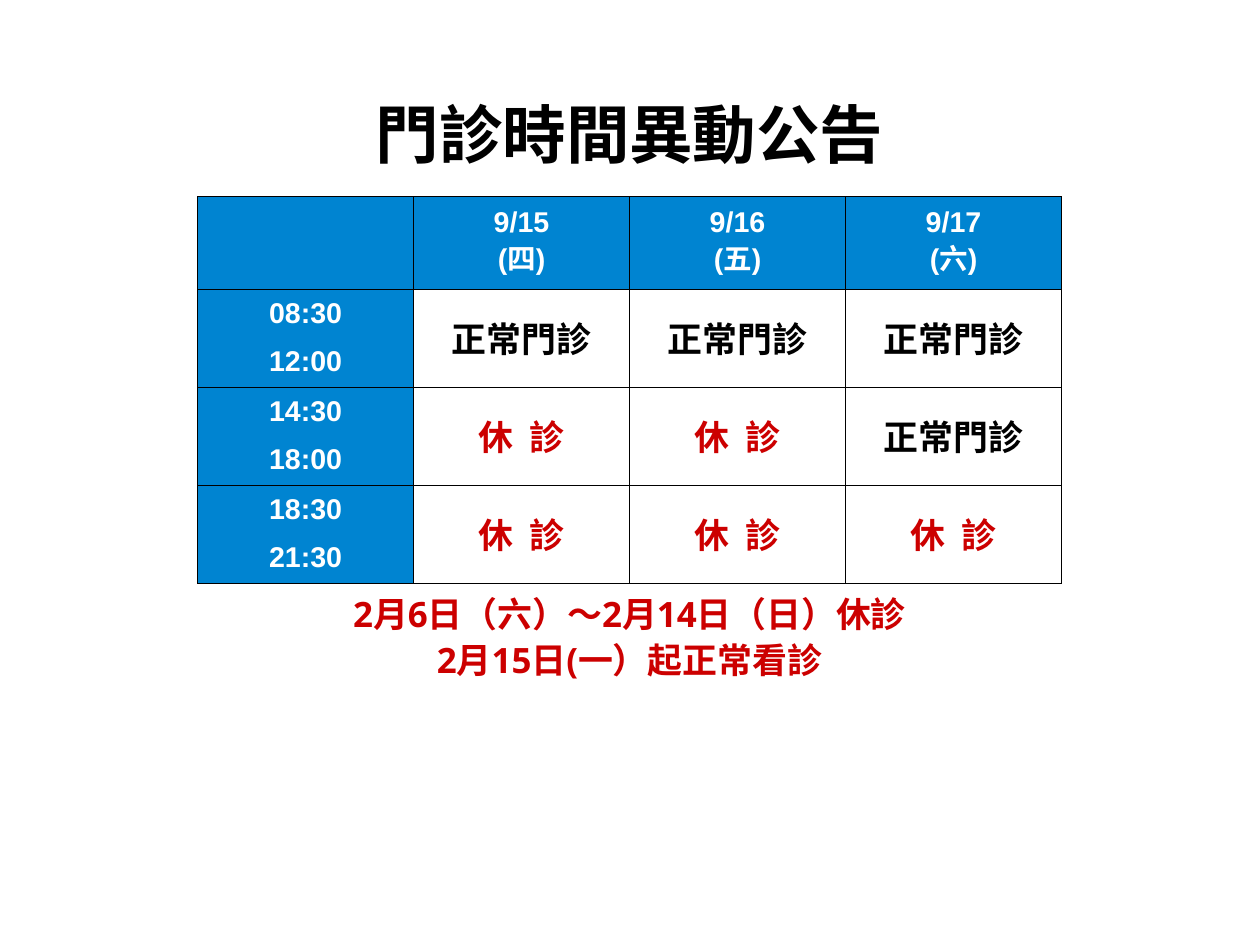
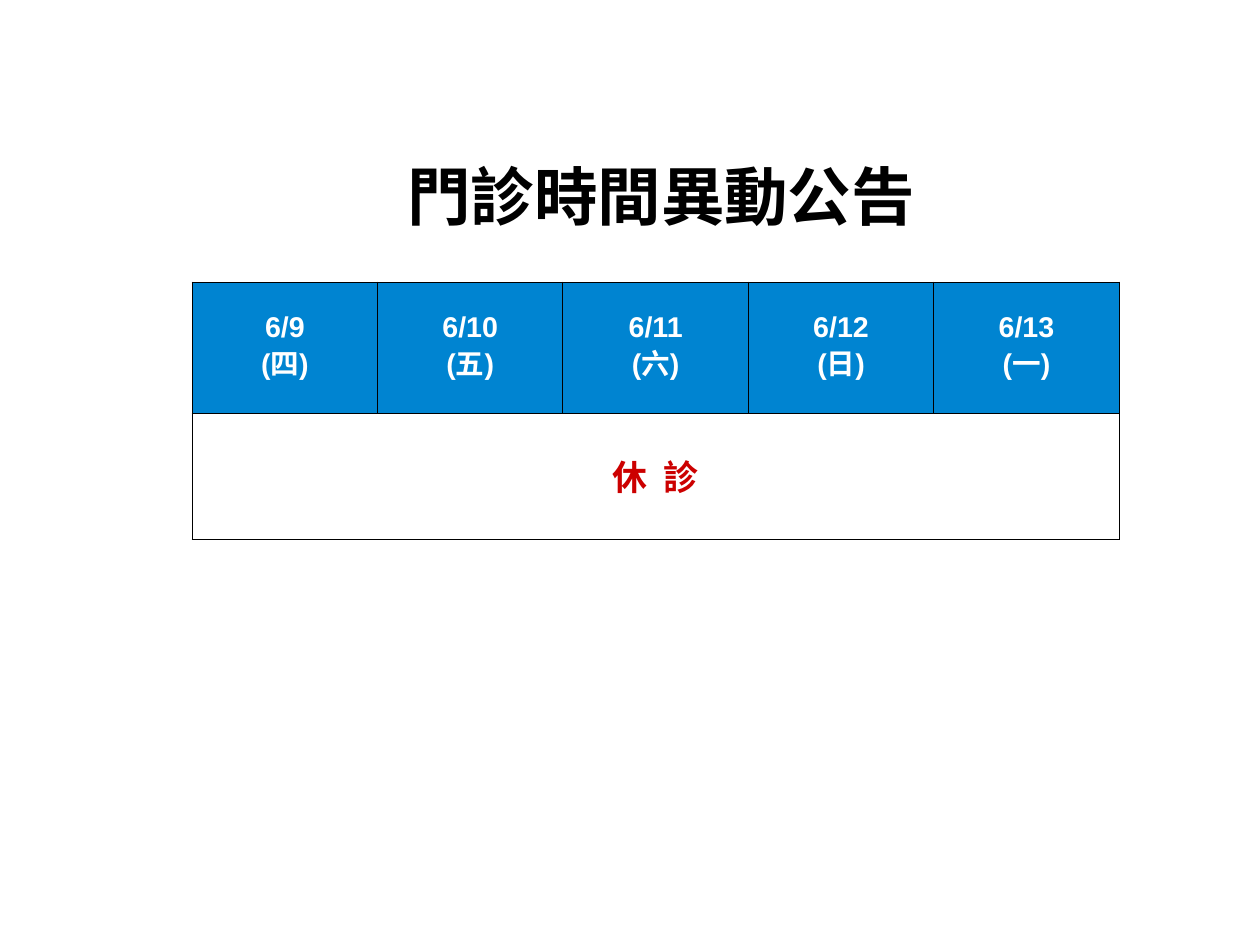
import pptx
import pptx.util
import pptx.dml.color
import pptx.enum.text
import pptx.oxml
import pptx.oxml.ns

Cm = pptx.util.Cm
Pt = pptx.util.Pt
CENTER = pptx.enum.text.PP_ALIGN.CENTER
MIDDLE = pptx.enum.text.MSO_ANCHOR.MIDDLE

COLORS = {"blue": "0084D1", "red": "CC0000", "black": "000000", "white": "FFFFFF"}
TITLE = "門診時間異動公告"
OPEN = "正常門診"
CLOSED = "休 診"
TITLE_HEIGHT = 2.51

STYLES = {
    "title": {"font": {"name": "Calibri", "size": Pt(40), "bold": True},
              "color": "black", "para": {"line_spacing": 0.93}},
    "header": {"font": {"name": "Arial", "size": Pt(18), "bold": True},
               "color": "white", "para": {"line_spacing": 0.94}},
    "hours": {"font": {"name": "Arial", "size": Pt(18), "bold": True}, "color": "white",
              "para": {"line_spacing": 0.94, "space_before": Pt(5.7), "space_after": Pt(5.7)}},
    "open": {"font": {"name": "Calibri", "size": Pt(22), "bold": True},
             "color": "black", "para": {"line_spacing": 0.93}},
    "closed": {"font": {"name": "Calibri", "size": Pt(22), "bold": True},
               "color": "red", "para": {"line_spacing": 0.93}, "tracking": 250},
    "notice": {"font": {"name": "Open Sans", "size": Pt(22), "bold": True},
               "color": "red", "para": {"line_spacing": 1.1}},
}


def set_attributes(target, values):
    for name, value in values.items():
        setattr(target, name, value)


def rgb(color):
    return pptx.dml.color.RGBColor.from_string(COLORS[color])


def write(frame, text, style_name):
    style = STYLES[style_name]
    for index, line in enumerate(text.split("\n")):
        para = frame.add_paragraph() if index else frame.paragraphs[0]
        set_attributes(para, {"alignment": CENTER, **style["para"]})
        span = para.add_run()
        span.text = line
        set_attributes(span.font, style["font"])
        span.font.color.rgb = rgb(style["color"])
        if "tracking" in style:
            span.font._element.set("spc", str(style["tracking"]))


def format_frame(frame, margin_top=0):
    set_attributes(frame, {
        "word_wrap": True, "auto_size": pptx.enum.text.MSO_AUTO_SIZE.NONE,
        "vertical_anchor": MIDDLE, "margin_left": 0, "margin_right": 0,
        "margin_top": margin_top, "margin_bottom": 0})


def add_page(deck, left, top, width):
    page = deck.slides.add_slide(deck.slide_layouts[5])
    title = page.shapes.title
    set_attributes(title, {"left": Cm(left), "top": Cm(top),
                           "width": Cm(width), "height": Cm(TITLE_HEIGHT)})
    format_frame(title.text_frame, Cm(0.1))
    write(title.text_frame, TITLE, "title")
    return page


def add_borders(cell):
    properties = cell._tc.get_or_add_tcPr()
    for side in ("lnL", "lnR", "lnT", "lnB"):
        properties.append(pptx.oxml.parse_xml(
            f'<a:{side} {pptx.oxml.ns.nsdecls("a")} w="{Pt(0.68)}"><a:solidFill>'
            f'<a:srgbClr val="{COLORS["black"]}"/></a:solidFill></a:{side}>'))


def cell_style(text, row, column, has_hours):
    if row == 0:
        return "header"
    if has_hours and column == 0:
        return "hours"
    return "closed" if text == CLOSED else "open"


def add_schedule(page, left, top, width, heights, rows, has_hours):
    columns = len(rows[0])
    table = page.shapes.add_table(len(rows), columns, Cm(left), Cm(top),
                                  Cm(width), Cm(sum(heights))).table
    set_attributes(table, {"first_row": False, "horz_banding": False})
    for column in table.columns:
        column.width = Cm(width / columns)
    for row_index, (height, texts) in enumerate(zip(heights, rows)):
        table.rows[row_index].height = Cm(height)
        for column_index in range(columns):
            cell = table.cell(row_index, column_index)
            add_borders(cell)
            text = texts[column_index] if column_index < len(texts) else ""
            style = cell_style(text, row_index, column_index, has_hours)
            cell.fill.solid()
            cell.fill.fore_color.rgb = rgb("blue" if style in ("header", "hours") else "white")
            cell.vertical_anchor = MIDDLE
            if text:
                write(cell.text_frame, text, style)
        if len(texts) < columns:
            table.cell(row_index, len(texts) - 1).merge(table.cell(row_index, columns - 1))


def add_notice(page, left, top, width, height, text):
    box = page.shapes.add_textbox(Cm(left), Cm(top), Cm(width), Cm(height))
    format_frame(box.text_frame)
    write(box.text_frame, text, "notice")


def build_session_page(deck):
    left, top, width = 4.39, 1.75, 19.2
    page = add_page(deck, left, top, width)
    rows = [
        ["", "9/15\n(四)", "9/16\n(五)", "9/17\n(六)"],
        ["08:30\n12:00", OPEN, OPEN, OPEN],
        ["14:30\n18:00", CLOSED, CLOSED, OPEN],
        ["18:30\n21:30", CLOSED, CLOSED, CLOSED],
    ]
    add_schedule(page, left, top + 2.62, width, [2.06] + [2.18] * 3, rows, True)
    add_notice(page, left, top + 11.1, width, TITLE_HEIGHT,
               "2月6日（六）～2月14日（日）休診\n2月15日(一）起正常看診")


def build_holiday_page(deck):
    left, top, width = 4.39, 3.12, 20.6
    page = add_page(deck, left, top, width)
    rows = [["6/9\n(四)", "6/10\n(五)", "6/11\n(六)", "6/12\n(日)", "6/13\n(一)"], [CLOSED]]
    add_schedule(page, left - 0.12, top + 3.15, width, [2.92, 2.79], rows, False)


def main():
    deck = pptx.Presentation()
    set_attributes(deck, {"slide_width": Cm(28), "slide_height": Cm(21)})
    build_session_page(deck)
    build_holiday_page(deck)
    deck.save("out.pptx")


if __name__ == "__main__":
    main()
